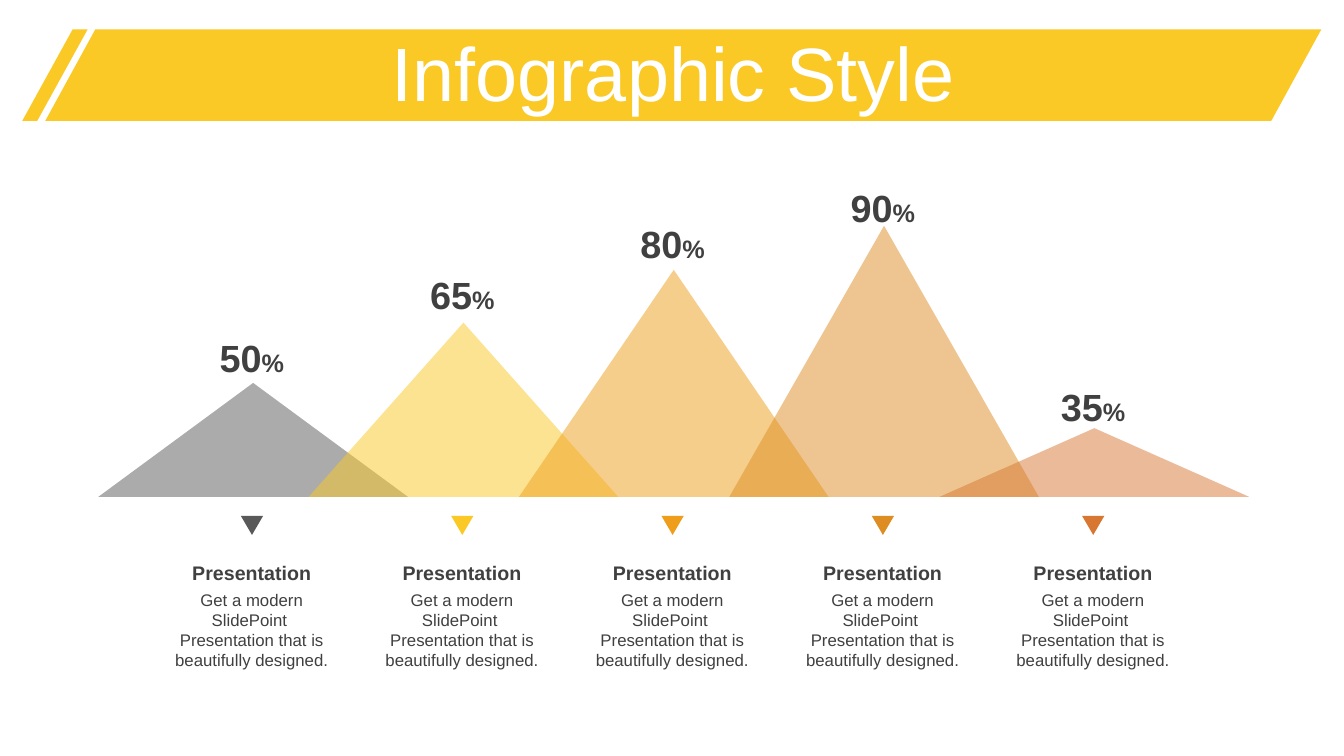
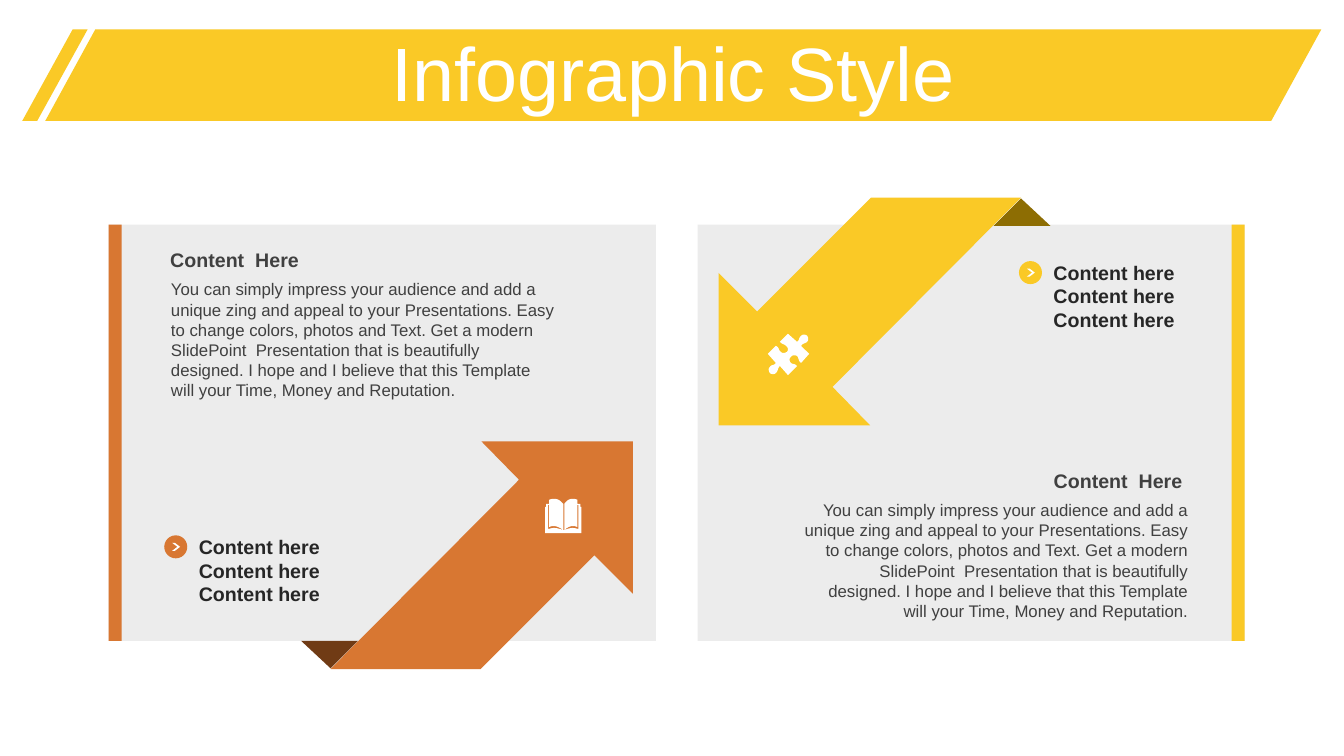
"""Build two infographic slides: percentage peaks and a pair of arrow panels."""
from lxml.etree import SubElement
from pptx import Presentation
from pptx.dml.color import RGBColor
from pptx.enum.shapes import MSO_SHAPE
from pptx.enum.text import MSO_ANCHOR, MSO_AUTO_SIZE, PP_ALIGN
from pptx.oxml.ns import qn
from pptx.util import Cm, Pt

FONT = "Arial"
COLORS = {
    "white": "FFFFFF", "text": "404040", "dark": "262626", "panel": "ECECEC",
    "gray": "595959", "yellow": "FAC926", "amber": "EF9E1B", "ochre": "DE8D22",
    "orange": "D87732", "yellow_fold": "8D6D03", "orange_fold": "703B15",
}

TITLE = "Infographic Style"
TITLE_BOX = (0.89, 0.94, 32.16, 2.01)
BANDS = [((1.14, 0.74, 32.16, 2.31), 0.547), ((0.56, 0.74, 1.65, 2.31), 0.771)]

PEAK_HEADING = "Presentation"
PEAK_TEXT = "Get a modern SlidePoint  Presentation that is beautifully designed."
PEAKS = [
    ("50", "gray", 2.87, 8.31),
    ("65", "yellow", 4.39, 6.71),
    ("80", "amber", 5.72, 5.44),
    ("90", "ochre", 6.83, 4.52),
    ("35", "orange", 1.73, 9.55),
]
PEAK_STEP, BASELINE = 5.3, 12.52

PANEL_HEADING = "Content  Here"
PANEL_TEXT = (
    "You can simply impress your audience and add a unique zing and appeal to your "
    "Presentations. Easy to change colors, photos and Text. Get a modern SlidePoint  "
    "Presentation that is beautifully designed. I hope and I believe that this Template "
    "will your Time, Money and Reputation."
)
BULLET_LINES = ["Content here"] * 3
PANEL_TOP, PANEL_W, PANEL_H, BAR_W = 5.66, 13.79, 10.49, 0.33
ARROW = [(21.95, 4.98), (25.73, 4.98), (20.98, 9.75), (21.93, 10.72),
         (18.11, 10.72), (18.11, 6.88), (19.08, 7.85)]
FOLD = [(25.73, 5.0), (26.47, 5.69), (25.04, 5.69)]
TURN_X, TURN_Y = 34.06, 21.84

PUZZLE = [
    (39, 2), (40, 3, 41, 6, 39, 8), (37, 10, 35, 9, 33, 12), (41, 20), (33, 29),
    (30, 27, 31, 24, 29, 22), (27, 21, 24, 21, 23, 23), (21, 24, 21, 27, 23, 29),
    (26, 31, 26, 29, 29, 32), (20, 41), (12, 32), (9, 35, 11, 36, 8, 39),
    (6, 41, 3, 40, 2, 39), (1, 37, 0, 35, 2, 33), (4, 30, 6, 32, 8, 29), (0, 20),
    (8, 12), (12, 14, 10, 16, 13, 18), (15, 20, 17, 19, 19, 18),
    (20, 17, 21, 14, 18, 12), (16, 10, 15, 11, 12, 8), (20, 0), (29, 8),
    (32, 6, 30, 5, 33, 2), (35, 0, 38, 1, 39, 2),
]
BOOK = [
    (18, 31), (19, 31), (24, 29, 27, 28, 33, 30), (33, 6), (32, 6), (32, 28),
    (28, 26, 23, 27, 19, 31), (19, 5), (21, 2, 24, 0, 27, 0), (28, 0, 30, 0, 32, 1),
    (32, 5), (35, 5), (35, 8), (36, 8), (36, 34), (0, 34), (0, 8), (1, 8), (1, 5),
    (4, 5), (4, 1), (6, 0, 8, 0, 9, 0), (13, 0, 15, 2, 18, 5), (18, 31),
    (13, 27, 8, 26, 4, 28), (4, 6), (3, 6), (3, 30), (9, 28, 12, 29, 18, 31),
]
ICON_UNIT = 0.0254

PANELS = [
    {"left": 17.58, "bar": 31.04, "color": "yellow", "fold": "yellow_fold",
     "turned": False, "text": (19.99, 12.47), "heading_x": 19.94,
     "align": PP_ALIGN.RIGHT, "bullet": (25.68, 6.58),
     "icon": PUZZLE, "icon_at": (19.35, 8.41)},
    {"left": 2.74, "bar": 2.74, "color": "orange", "fold": "orange_fold",
     "turned": True, "text": (4.06, 6.91), "heading_x": 4.04,
     "align": PP_ALIGN.LEFT, "bullet": (4.14, 13.49),
     "icon": BOOK, "icon_at": (13.74, 12.57)},
]


def rgb(name):
    return RGBColor.from_string(COLORS[name])


def paint(sp, color, alpha=None):
    sp.shadow.inherit = False
    sp.fill.solid()
    sp.fill.fore_color.rgb = rgb(color)
    sp.line.fill.background()
    if alpha:
        clr = sp._element.spPr.find(".//" + qn("a:srgbClr"))
        SubElement(clr, qn("a:alpha"), val=str(alpha * 1000))
    return sp


def add_shape(s, kind, box, color, adj=None, alpha=None):
    sp = s.shapes.add_shape(kind, *map(Cm, box))
    if adj is not None:
        sp.adjustments[0] = adj
    return paint(sp, color, alpha)


def add_outline(s, points, color):
    pts = [(Cm(x), Cm(y)) for x, y in points]
    fb = s.shapes.build_freeform(*pts[0], scale=1.0)
    fb.add_line_segments(pts[1:], close=True)
    return paint(fb.convert_to_shape(), color)


def add_run(p, text, size, color, bold=False):
    r = p.add_run()
    r.text = text
    r.font.name, r.font.size, r.font.bold = FONT, Pt(size), bold
    r.font.color.rgb = rgb(color)


def add_text(s, box, paragraphs, color="text", bold=False, align=PP_ALIGN.LEFT,
             anchor=MSO_ANCHOR.TOP, inset=0.25):
    tf = s.shapes.add_textbox(*map(Cm, box)).text_frame
    tf.word_wrap = True
    tf.vertical_anchor = anchor
    tf.margin_left = tf.margin_right = Cm(inset)
    for i, runs in enumerate(paragraphs):
        p = tf.add_paragraph() if i else tf.paragraphs[0]
        p.alignment = align
        for text, size in runs:
            add_run(p, text, size, color, bold)


def flatten(segments, steps=6):
    """Turn lines and cubic curves into a list of points."""
    points = [segments[0]]
    for seg in segments[1:]:
        if len(seg) == 2:
            points.append(seg)
            continue
        ctrl = [points[-1], seg[0:2], seg[2:4], seg[4:6]]
        for k in range(1, steps + 1):
            t = k / steps
            weights = ((1 - t) ** 3, 3 * t * (1 - t) ** 2, 3 * t * t * (1 - t), t ** 3)
            points.append(tuple(sum(w * c[axis] for w, c in zip(weights, ctrl))
                                for axis in (0, 1)))
    return points


def style_layout(prs, layout):
    """Put the bands and the title position on the layout."""
    title = layout.placeholders[0]
    title.left, title.top, title.width, title.height = map(Cm, TITLE_BOX)
    s = prs.slides[0]
    for i, (box, adj) in enumerate(BANDS):
        band = add_shape(s, MSO_SHAPE.PARALLELOGRAM, box, "yellow", adj)
        layout.shapes._spTree.insert(2 + i, band._element)


def add_slide(prs, layout):
    s = prs.slides.add_slide(layout)
    tf = s.shapes.title.text_frame
    tf.auto_size = MSO_AUTO_SIZE.NONE
    tf.vertical_anchor = MSO_ANCHOR.MIDDLE
    p = tf.paragraphs[0]
    p.alignment, p.line_spacing = PP_ALIGN.CENTER, 0.9
    add_run(p, TITLE, 54, "white")
    return s


def build_peaks(s):
    center = PP_ALIGN.CENTER
    for i, (value, color, height, label_top) in enumerate(PEAKS):
        dx = i * PEAK_STEP
        add_shape(s, MSO_SHAPE.ISOSCELES_TRIANGLE,
                  (2.48 + dx, BASELINE - height, 7.8, height), color, alpha=50)
        marker = add_shape(s, MSO_SHAPE.ISOSCELES_TRIANGLE,
                           (6.07 + dx, 13, 0.56, 0.48), color)
        marker.rotation = 180
        add_text(s, (5.23 + dx, label_top, 2.24, 1.42), [[(value, 27), ("%", 18)]],
                 bold=True, align=center)
        add_text(s, (4.11 + dx, 14, 4.47, 0.86), [[(PEAK_HEADING, 14)]],
                 bold=True, align=center, inset=0)
        add_text(s, (4.11 + dx, 14.73, 4.47, 2.31), [[(PEAK_TEXT, 12)]],
                 align=center, inset=0)


def add_bullet(s, x, y, color):
    add_shape(s, MSO_SHAPE.OVAL, (x, y, 0.58, 0.58), color)
    add_shape(s, MSO_SHAPE.CHEVRON, (x + 0.2, y + 0.19, 0.2, 0.2), "white", 0.652)
    add_text(s, (x + 0.62, y - 0.15, 3.75, 2.06), [[(line, 14)] for line in BULLET_LINES],
             color="dark", bold=True, anchor=MSO_ANCHOR.MIDDLE)


def build_panels(s):
    for panel in PANELS:
        color = panel["color"]
        add_shape(s, MSO_SHAPE.RECTANGLE,
                  (panel["left"], PANEL_TOP, PANEL_W, PANEL_H), "panel")
        for points, fill in ((FOLD, panel["fold"]), (ARROW, color)):
            if panel["turned"]:
                points = [(TURN_X - x, TURN_Y - y) for x, y in points]
            add_outline(s, points, fill)
        add_shape(s, MSO_SHAPE.RECTANGLE, (panel["bar"], PANEL_TOP, BAR_W, PANEL_H), color)
        x, y = panel["text"]
        add_text(s, (x, y, 10.21, 3.33), [[(PANEL_TEXT, 12)]], align=panel["align"])
        add_text(s, (panel["heading_x"], y - 0.78, 10.11, 0.86), [[(PANEL_HEADING, 14)]],
                 bold=True, align=panel["align"])
        add_bullet(s, *panel["bullet"], color)
        left, top = panel["icon_at"]
        add_outline(s, [(left + x * ICON_UNIT, top + y * ICON_UNIT)
                        for x, y in flatten(panel["icon"])], "white")


def main():
    prs = Presentation()
    prs.slide_width, prs.slide_height = Cm(33.87), Cm(19.05)
    layout = prs.slide_layouts[5]
    peaks, panels = (add_slide(prs, layout) for _ in range(2))
    style_layout(prs, layout)
    build_peaks(peaks)
    build_panels(panels)
    prs.save("out.pptx")


if __name__ == "__main__":
    main()
